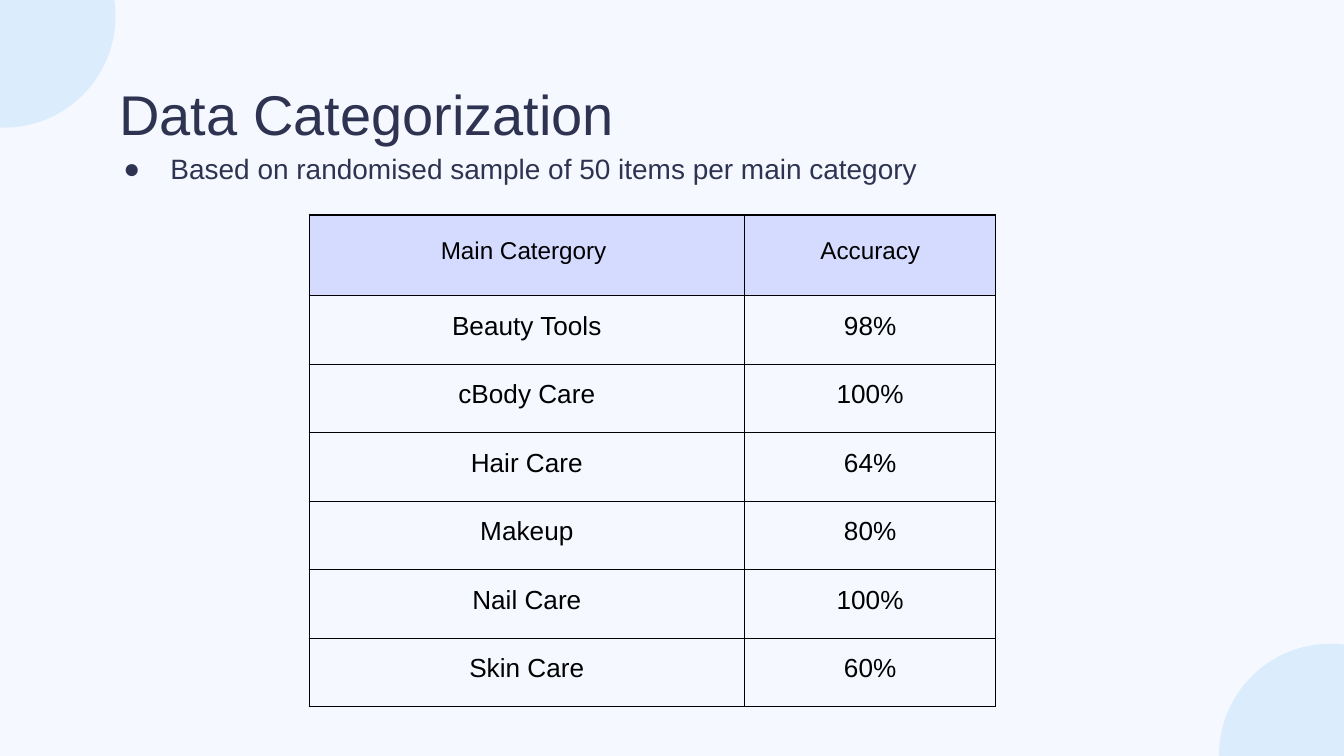
from lxml import etree
from pptx import Presentation
from pptx.dml.color import RGBColor
from pptx.enum.shapes import MSO_SHAPE
from pptx.enum.text import MSO_ANCHOR, PP_ALIGN
from pptx.oxml.ns import qn
from pptx.util import Inches, Pt

OVAL = MSO_SHAPE.OVAL
MIDDLE = MSO_ANCHOR.MIDDLE
CENTER = PP_ALIGN.CENTER

BACKGROUND = RGBColor(0xF5, 0xF9, 0xFF)
CIRCLE_BLUE = RGBColor(0x76, 0xB8, 0xF4)
NAVY = RGBColor(0x2F, 0x33, 0x52)
HEADER_LILAC = RGBColor(0xD4, 0xDB, 0xFF)
BLACK = RGBColor(0x00, 0x00, 0x00)

FONT = "Arial"
SLIDE_WIDTH = Inches(10)
SLIDE_HEIGHT = SLIDE_WIDTH * 9 // 16
CIRCLE_SIZE = 1.66
COLUMN_WIDTHS = (3.24, 1.87)
HEADER_HEIGHT, ROW_HEIGHT = 0.6, 0.51
ACCURACY_ROWS = [
    ("Main Catergory ", "Accuracy"),
    ("Beauty Tools", "98%"),
    ("cBody Care", "100%"),
    ("Hair Care", "64%"),
    ("Makeup", "80%"),
    ("Nail Care", "100%"),
    ("Skin Care", "60%"),
]


def add_run(paragraph, text, size, color):
    run = paragraph.add_run()
    run.text = text
    run.font.name = FONT
    run.font.size = Pt(size)
    run.font.color.rgb = color


def add_circle(slide, left, top):
    """Translucent corner circle."""
    circle = slide.shapes.add_shape(
        OVAL, Inches(left), Inches(top), Inches(CIRCLE_SIZE), Inches(CIRCLE_SIZE))
    circle.shadow.inherit = False
    circle.line.fill.background()
    circle.fill.solid()
    circle.fill.fore_color.rgb = CIRCLE_BLUE
    color = circle._element.spPr.find(".//" + qn("a:srgbClr"))
    etree.SubElement(color, qn("a:alpha"), val="20000")


def add_text(slide, left, top, width, height, text, size, bullet=None):
    """One-line text box, with a hanging bullet if one is given."""
    box = slide.shapes.add_textbox(
        Inches(left), Inches(top), Inches(width), Inches(height))
    frame = box.text_frame
    frame.word_wrap = True
    frame.margin_left = frame.margin_right = Inches(0.1)
    frame.margin_top = frame.margin_bottom = Inches(0.1)
    paragraph = frame.paragraphs[0]
    if bullet:
        properties = paragraph._p.get_or_add_pPr()
        properties.set("marL", str(Inches(0.5)))
        properties.set("indent", str(Inches(-0.35)))
        bullet_color = etree.SubElement(properties, qn("a:buClr"))
        etree.SubElement(bullet_color, qn("a:srgbClr"), val=str(NAVY))
        etree.SubElement(properties, qn("a:buFont"), typeface=FONT)
        etree.SubElement(properties, qn("a:buChar"), char=bullet)
    add_run(paragraph, text, size, NAVY)


def add_borders(cell):
    properties = cell._tc.get_or_add_tcPr()
    for position, side in enumerate(("a:lnL", "a:lnR", "a:lnT", "a:lnB")):
        line = etree.Element(qn(side), w=str(Pt(0.75)))
        fill = etree.SubElement(line, qn("a:solidFill"))
        etree.SubElement(fill, qn("a:srgbClr"), val=str(BLACK))
        properties.insert(position, line)


def fill_cell(cell, text, is_header):
    cell.vertical_anchor = MIDDLE
    cell.margin_left = cell.margin_right = cell.margin_top = Inches(0.01)
    cell.margin_bottom = Inches(0.1)
    if is_header:
        cell.fill.solid()
        cell.fill.fore_color.rgb = HEADER_LILAC
    else:
        cell.fill.background()
    add_borders(cell)
    paragraph = cell.text_frame.paragraphs[0]
    paragraph.alignment = CENTER
    paragraph.line_spacing = 1.15
    add_run(paragraph, text, 13 if is_header else 14, BLACK)


def add_accuracy_table(slide, left, top):
    """Accuracy for each main category."""
    row_heights = [HEADER_HEIGHT] + [ROW_HEIGHT] * (len(ACCURACY_ROWS) - 1)
    table = slide.shapes.add_table(
        len(ACCURACY_ROWS), len(COLUMN_WIDTHS), Inches(left), Inches(top),
        Inches(sum(COLUMN_WIDTHS)), Inches(sum(row_heights))).table
    table.horz_banding = False
    table.first_row = False
    for column, width in zip(table.columns, COLUMN_WIDTHS):
        column.width = Inches(width)
    for row_index, (height, values) in enumerate(zip(row_heights, ACCURACY_ROWS)):
        table.rows[row_index].height = Inches(height)
        for column_index, value in enumerate(values):
            fill_cell(table.cell(row_index, column_index), value, row_index == 0)


def build_categorization_slide(presentation):
    slide = presentation.slides.add_slide(presentation.slide_layouts[6])
    slide.background.fill.solid()
    slide.background.fill.fore_color.rgb = BACKGROUND

    # Corner decoration
    add_circle(slide, -0.8, -0.71)
    add_circle(slide, 9.07, 4.79)

    # Title, table and sampling note
    add_text(slide, 0.79, 0.49, 8.43, 0.63, "Data Categorization", 30)
    add_accuracy_table(slide, 2.3, 1.6)
    add_text(slide, 0.67, 1.03, 7.29, 0.63,
             "Based on randomised sample of 50 items per main category", 15,
             bullet="●")


def main():
    presentation = Presentation()
    presentation.slide_width = SLIDE_WIDTH
    presentation.slide_height = SLIDE_HEIGHT
    build_categorization_slide(presentation)
    presentation.save("out.pptx")


if __name__ == "__main__":
    main()
